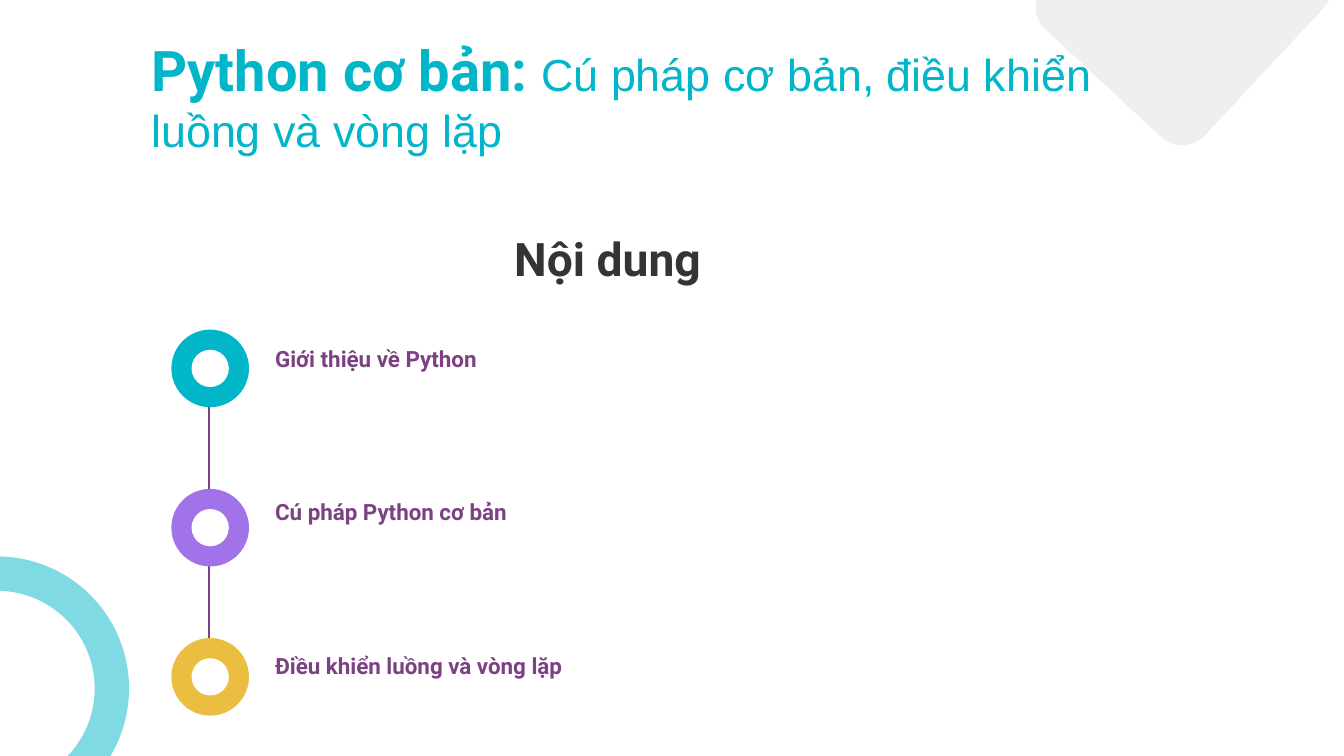
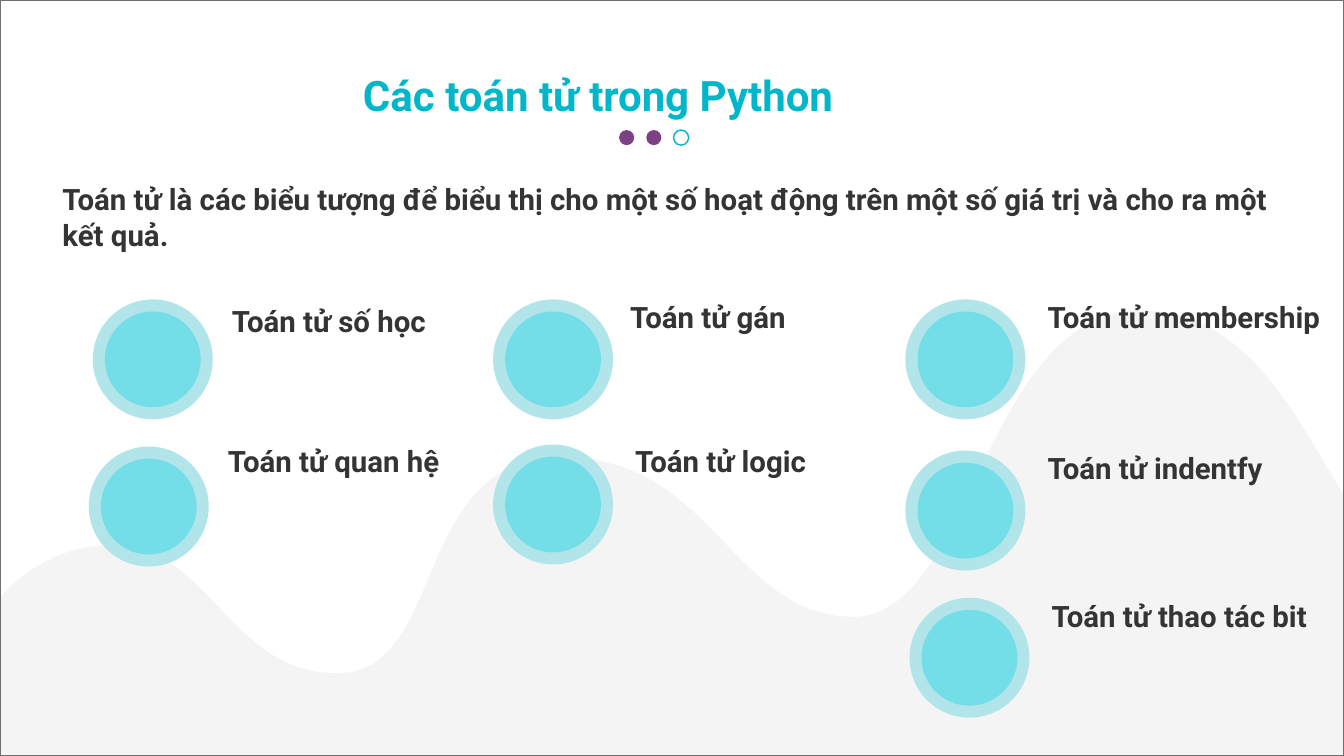
from pptx import Presentation
from pptx import util as u
from pptx.dml.color import RGBColor
from pptx.enum import shapes, text
from lxml import etree

# Shared colours and text styles
TEAL = RGBColor(0x02, 0xB6, 0xC9)
PLUM = RGBColor(0x7C, 0x41, 0x82)
VIOLET = RGBColor(0xA2, 0x73, 0xE8)
GOLD = RGBColor(0xEB, 0xBE, 0x41)
CHARCOAL = RGBColor(0x34, 0x34, 0x34)
WHITE = RGBColor(0xFF, 0xFF, 0xFF)
DIAMOND_GREY = RGBColor(0xEF, 0xEF, 0xEF)
WAVE_GREY = RGBColor(0xF4, 0xF4, 0xF4)
FRAME_GREY = RGBColor(0x70, 0x70, 0x70)
PALE_TEAL = RGBColor(0x80, 0xDA, 0xE4)
RING_TEAL = RGBColor(0xB1, 0xE5, 0xEA)
DISC_TEAL = RGBColor(0x73, 0xDD, 0xE8)

TITLE = {"name": "Roboto", "size": u.Pt(40), "bold": True, "color": TEAL}
SMALL_TITLE = {**TITLE, "size": u.Pt(30)}
SUBTITLE = {**TITLE, "name": "Arial", "size": u.Pt(32), "bold": False}
HEADING = {**TITLE, "size": u.Pt(33), "color": CHARCOAL}
AGENDA = {**TITLE, "size": u.Pt(16), "color": PLUM}
BODY = {**TITLE, "size": u.Pt(21), "color": CHARCOAL}

PADDING = (0.1, 0.05)
NO_PADDING = (0, 0)
SHAPE = shapes.MSO_SHAPE

# Content: agenda as text, colour, ring top, label top
AGENDA_TITLE = [("Python cơ bản: ", TITLE),
                ("Cú pháp cơ bản, điều khiển luồng và vòng lặp", SUBTITLE)]
AGENDA_ITEMS = [
    ("Giới thiệu về Python", TEAL, 3.27, 3.24),
    ("Cú pháp Python cơ bản", VIOLET, 4.85, 4.76),
    ("Điều khiển luồng và vòng lặp", GOLD, 6.33, 6.29),
]

# Content: operators as text, ring left and top, label left and top
OPERATOR_TITLE = [("Các toán tử trong Python", SMALL_TITLE)]
OPERATOR_INTRO = ("Toán tử là các biểu tượng để biểu thị cho một số hoạt động "
                  "trên một số giá trị và cho ra một kết quả.")
OPERATORS = [
    ("Toán tử số học", 0.92, 2.97, 2.3, 3.01),
    ("Toán tử gán", 4.89, 2.97, 6.25, 2.97),
    ("Toán tử membership", 8.98, 2.97, 10.39, 2.97),
    ("Toán tử quan hệ", 0.88, 4.43, 2.26, 4.4),
    ("Toán tử logic", 4.89, 4.41, 6.3, 4.4),
    ("Toán tử indentfy", 8.98, 4.47, 10.39, 4.47),
    ("Toán tử thao tác bit", 9.02, 5.93, 10.43, 5.93),
]
DOTS = [(PLUM, None), (PLUM, None), (None, TEAL)]

# Wave crest: start point, then two control points and an end point per curve
WAVE_START = (0, 5.92)
WAVE_CURVES = [
    ((0.25, 5.66), (0.61, 5.41), (1.09, 5.41)),
    ((1.48, 5.41), (1.72, 5.58), (1.95, 5.8)),
    ((2.34, 6.17), (2.66, 6.68), (3.35, 6.68)),
    ((4.44, 6.68), (4.07, 4.53), (5.57, 4.53)),
    ((7.07, 4.53), (7.27, 6.12), (8.46, 6.12)),
    ((8.75, 6.12), (8.98, 5.94), (9.18, 5.66)),
    ((9.37, 5.4), (9.55, 5.02), (9.73, 4.64)),
    ((10.1, 3.87), (10.52, 3.08), (11.33, 3.08)),
    ((12.39, 3.08), (12.88, 4.2), (13.33, 4.91)),
]


def inches(values):
    return [u.Inches(value) for value in values]


def paint(shape, fill=None, line=None, weight=1):
    shape.shadow.inherit = False
    if fill is None:
        shape.fill.background()
    else:
        shape.fill.solid()
        shape.fill.fore_color.rgb = fill
    if line is None:
        shape.line.fill.background()
    else:
        shape.line.color.rgb = line
        shape.line.width = u.Pt(weight)
    return shape


def add_preset(slide, kind, box, **colours):
    return paint(slide.shapes.add_shape(kind, *inches(box)), **colours)


def add_ring(slide, left, top, size, rim, outer, inner):
    """Draw a disc with a smaller disc centred on it."""
    for inset, colour in ((0, outer), (rim, inner)):
        side = size - 2 * inset
        add_preset(slide, SHAPE.OVAL, (left + inset, top + inset, side, side),
                   fill=colour)


def write(shape, runs, padding=NO_PADDING, spacing=1.0):
    frame = shape.text_frame
    horizontal, vertical = inches(padding)
    settings = {"word_wrap": True, "auto_size": text.MSO_AUTO_SIZE.NONE,
                "vertical_anchor": text.MSO_ANCHOR.TOP,
                "margin_left": horizontal, "margin_right": horizontal,
                "margin_top": vertical, "margin_bottom": vertical}
    for name, value in settings.items():
        setattr(frame, name, value)
    paragraph = frame.paragraphs[0]
    paragraph.alignment = text.PP_ALIGN.LEFT
    paragraph.line_spacing = spacing
    for words, style in runs:
        run = paragraph.add_run()
        run.text = words
        for name, value in style.items():
            if name == "color":
                run.font.color.rgb = value
            else:
                setattr(run.font, name, value)


def add_text(slide, words, style, box, **layout):
    write(slide.shapes.add_textbox(*inches(box)), [(words, style)], **layout)


def add_titled_slide(presentation, runs, box, padding=NO_PADDING):
    slide = presentation.slides.add_slide(presentation.slide_layouts[5])
    title = slide.shapes.title
    title.left, title.top, title.width, title.height = inches(box)
    write(title, runs, padding)
    return slide


def curve_points(start, curves, steps=24):
    points = [start]
    for first, second, end in curves:
        origin = points[-1]
        for step in range(1, steps + 1):
            t = step / steps
            s = 1 - t
            points.append(tuple(
                s**3 * a + 3 * s * s * t * b + 3 * s * t * t * c + t**3 * d
                for a, b, c, d in zip(origin, first, second, end)))
    return points


def add_agenda_slide(presentation):
    slide = add_titled_slide(presentation, AGENDA_TITLE, (1.4, 0.3, 9.8, 1.24),
                             PADDING)
    # Corner decorations
    diamond = add_preset(slide, SHAPE.ROUNDED_RECTANGLE,
                         (10.65, -1.2, 2.18, 2.34), fill=DIAMOND_GREY)
    diamond.adjustments[0] = 0.14
    diamond.rotation = 43
    arc = add_preset(slide, SHAPE.DONUT, (-1.34, 5.52, 2.62, 2.62),
                     fill=PALE_TEAL)
    arc.adjustments[0] = 0.13

    # Timeline
    line = slide.shapes.add_connector(shapes.MSO_CONNECTOR.STRAIGHT,
                                      *inches((2.07, 3.64, 2.07, 6.33)))
    line.line.color.rgb = PLUM
    line.line.width = u.Pt(1.5)
    properties = line._element.spPr
    etree.SubElement(properties, "{%s}effectLst" % properties.nsmap["a"])
    add_text(slide, "Nội dung", HEADING, (5.1, 2.28, 2.85, 0.55))
    for words, colour, ring_top, label_top in AGENDA_ITEMS:
        add_ring(slide, 1.7, ring_top, 0.77, 0.2, colour, WHITE)
        add_text(slide, words, AGENDA, (2.63, label_top, 7.68, 0.86),
                 padding=PADDING, spacing=1.5)


def add_operator_slide(presentation):
    slide = add_titled_slide(presentation, OPERATOR_TITLE, (3.6, 0.69, 6.6, 0.5))
    # Wave and frame
    crest = curve_points(WAVE_START, WAVE_CURVES)
    outline = [inches(point) for point in crest + [(13.33, 7.5), (0, 7.5)]]
    builder = slide.shapes.build_freeform(*outline[0])
    builder.add_line_segments(outline[1:], close=True)
    paint(builder.convert_to_shape(), fill=WAVE_GREY)
    add_preset(slide, SHAPE.RECTANGLE, (0, 0, 13.33, 7.5),
               line=FRAME_GREY, weight=1)

    # Dots under the title
    for index, (fill, line) in enumerate(DOTS):
        add_preset(slide, SHAPE.OVAL, (6.14 + index * 0.27, 1.29, 0.15, 0.15),
                   fill=fill, line=line)

    # Definition and operator kinds
    add_text(slide, OPERATOR_INTRO, BODY, (0.52, 1.75, 12.38, 0.8),
             padding=PADDING)
    for words, ring_left, ring_top, label_left, label_top in OPERATORS:
        add_ring(slide, ring_left, ring_top, 1.19, 0.12, RING_TEAL, DISC_TEAL)
        add_text(slide, words, BODY, (label_left, label_top, 2.9, 0.35))


def main():
    presentation = Presentation()
    presentation.slide_width, presentation.slide_height = inches((13.33, 7.5))
    add_agenda_slide(presentation)
    add_operator_slide(presentation)
    presentation.save("out.pptx")


if __name__ == "__main__":
    main()
